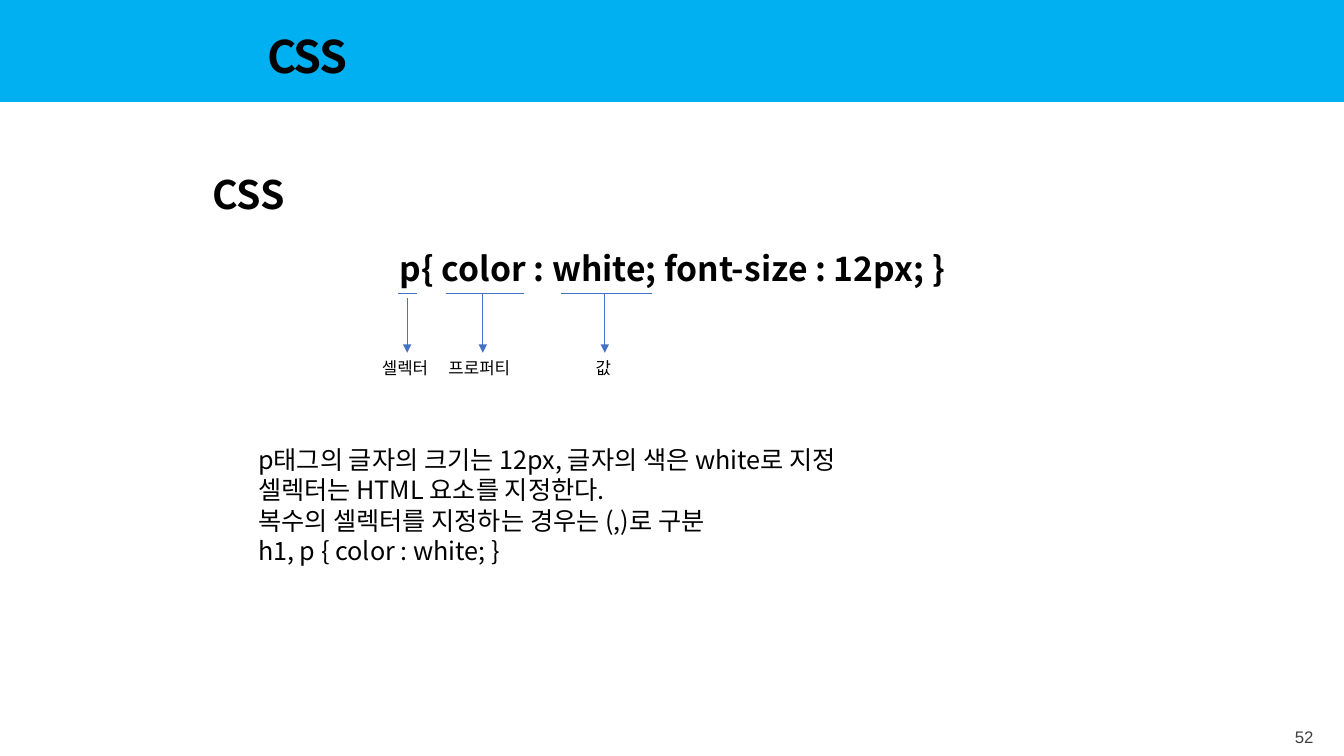
import lxml.etree
import pptx
import pptx.dml.color
import pptx.enum.shapes
import pptx.enum.text
import pptx.oxml.ns
import pptx.util

COLUMNS, ROWS = 40, 22.5
CELL = pptx.util.Inches(13.333) / COLUMNS
KOREAN = "Noto Sans CJK KR"
ALIGN = pptx.enum.text.PP_ALIGN
RULE_ROW, LABEL_ROW = 8.73, 10.5

PARTS = [
    ("셀렉터", (11.85, 12.42), (12.12, 8.88), (11.07, 2.13)),
    ("프로퍼티", (13.26, 15.6), (14.37, RULE_ROW), (13.05, 2.64)),
    ("값", (16.71, 19.41), (18, RULE_ROW), (17.43, 1.11)),
]
EXPLANATION = [
    "p태그의 글자의 크기는 12px, 글자의 색은 white로 지정",
    "셀렉터는 HTML 요소를 지정한다.",
    "복수의 셀렉터를 지정하는 경우는 (,)로 구분",
    "h1, p { color : white; }",
]


def cells(*counts):
    return [round(count * CELL) for count in counts]


def colour(value):
    return pptx.dml.color.RGBColor.from_string(value)


def child(parent, tag, **attributes):
    return lxml.etree.SubElement(parent, pptx.oxml.ns.qn(tag), **attributes)


def write(holder, *lines, size=12, bold=False, font=KOREAN, fill="000000",
          align=ALIGN.LEFT, wrap=True, inset=0.05, spacing=None):
    frame = holder.text_frame
    frame.auto_size = pptx.enum.text.MSO_AUTO_SIZE.NONE
    frame.vertical_anchor = pptx.enum.text.MSO_ANCHOR.TOP
    frame.word_wrap = wrap
    frame.margin_left = frame.margin_right = pptx.util.Inches(0.1)
    frame.margin_top = frame.margin_bottom = pptx.util.Inches(inset)
    for index, line in enumerate(lines):
        paragraph = frame.add_paragraph() if index else frame.paragraphs[0]
        properties = paragraph._p.get_or_add_pPr()
        properties.set("marL", "0")
        properties.set("indent", "0")
        child(properties, "a:buNone")
        paragraph.alignment = align
        paragraph.space_before = pptx.util.Pt(0)
        paragraph.line_spacing = pptx.util.Pt(size * (1.28 if bold else 1.2))
        run = paragraph.add_run()
        run.text = line
        run.font.size = pptx.util.Pt(size)
        run.font.bold = bold
        run.font.name = font
        run.font.color.rgb = colour(fill)
        character = run._r.get_or_add_rPr()
        child(character, "a:ea", typeface=font)
        if spacing is not None:
            character.set("spc", str(spacing * 100))


def place(holder, left, top, width, height):
    holder.left, holder.top, holder.width, holder.height = cells(left, top, width, height)


def add_text(slide, area, text, **style):
    write(slide.shapes.add_textbox(*cells(*area)), text, **style)


def add_banner(slide):
    banner = slide.shapes.add_shape(
        pptx.enum.shapes.MSO_SHAPE.RECTANGLE, *cells(0, 0, COLUMNS, 3.03))
    banner.shadow.inherit = False
    banner.fill.solid()
    banner.fill.fore_color.rgb = colour("00B0F0")
    banner.line.fill.background()
    slide.shapes.title.element.addprevious(banner.element)


def add_line(slide, start, end, arrow=False):
    line = slide.shapes.add_connector(
        pptx.enum.shapes.MSO_CONNECTOR.STRAIGHT, *cells(*start, *end))
    line.line.color.rgb = colour("4472C4")
    line.line.width = pptx.util.Pt(0.5)
    if arrow:
        child(line.line._get_or_add_ln(), "a:tailEnd", type="triangle")
    child(line.element.spPr, "a:effectLst")


def add_part(slide, name, underline, arrow_start, label):
    first, last = underline
    add_line(slide, (first, RULE_ROW), (last, RULE_ROW))
    add_line(slide, arrow_start, (arrow_start[0], LABEL_ROW), arrow=True)
    left, width = label
    add_text(slide, (left, LABEL_ROW, width, 0.9), name, wrap=False)


def main():
    deck = pptx.Presentation()
    deck.slide_width, deck.slide_height = cells(COLUMNS, ROWS)
    slide = deck.slides.add_slide(deck.slide_layouts[1])
    add_banner(slide)

    heading, explanation = slide.shapes.title, slide.placeholders[1]
    place(heading, 7.65, 0.6, 23.16, 1.92)
    write(heading, "CSS", size=32, bold=True, spacing=-1)
    place(explanation, 7.38, 13.08, 23.43, 3.93)
    write(explanation, *EXPLANATION, size=18)

    add_text(slide, (6.03, 4.68, 27.96, 1.89), "CSS", size=28, bold=True, inset=0.1)
    add_text(slide, (6.03, 6.99, 27.96, 1.89), "p{ color : white; font-size : 12px; }",
             size=24, bold=True, inset=0.1, align=ALIGN.CENTER)
    for part in PARTS:
        add_part(slide, *part)
    add_text(slide, (38.16, 21.48, 1.23, 0.9), "52", font="Arial", fill="404040",
             align=ALIGN.RIGHT, wrap=False)
    deck.save("out.pptx")


if __name__ == "__main__":
    main()
